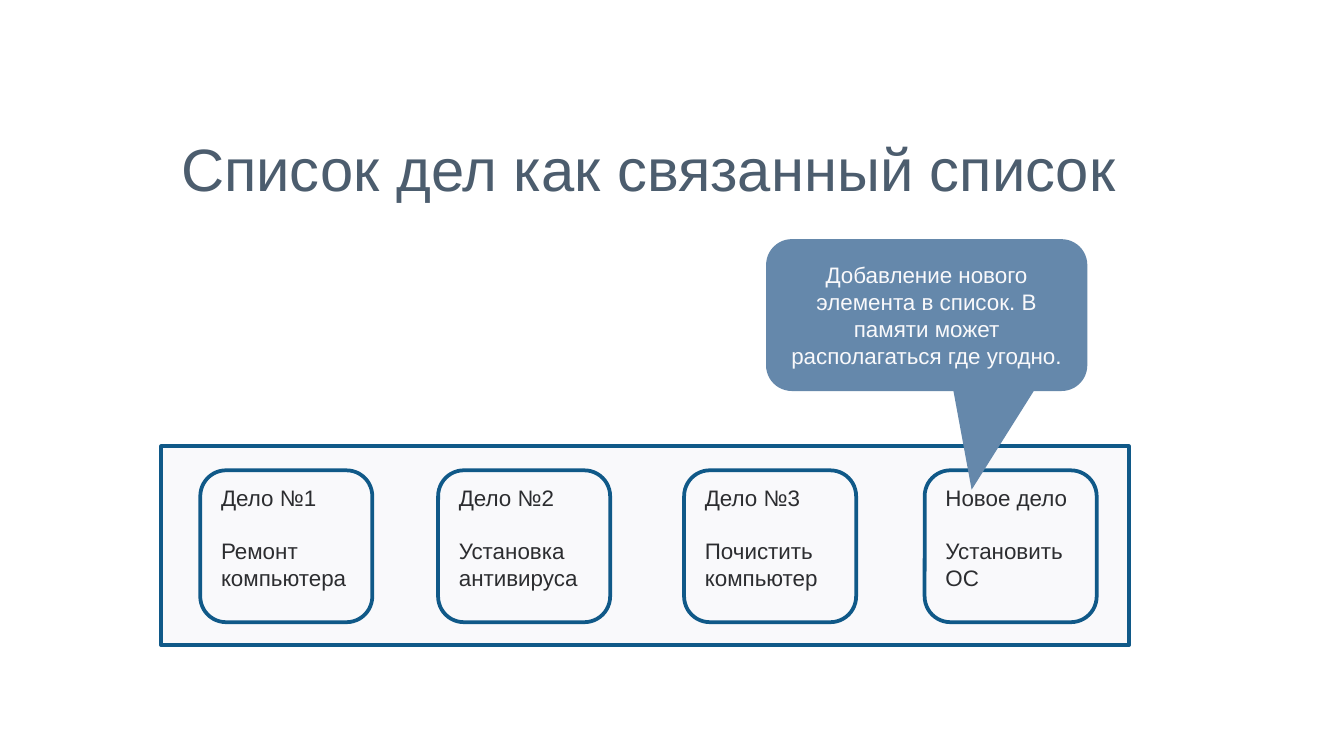
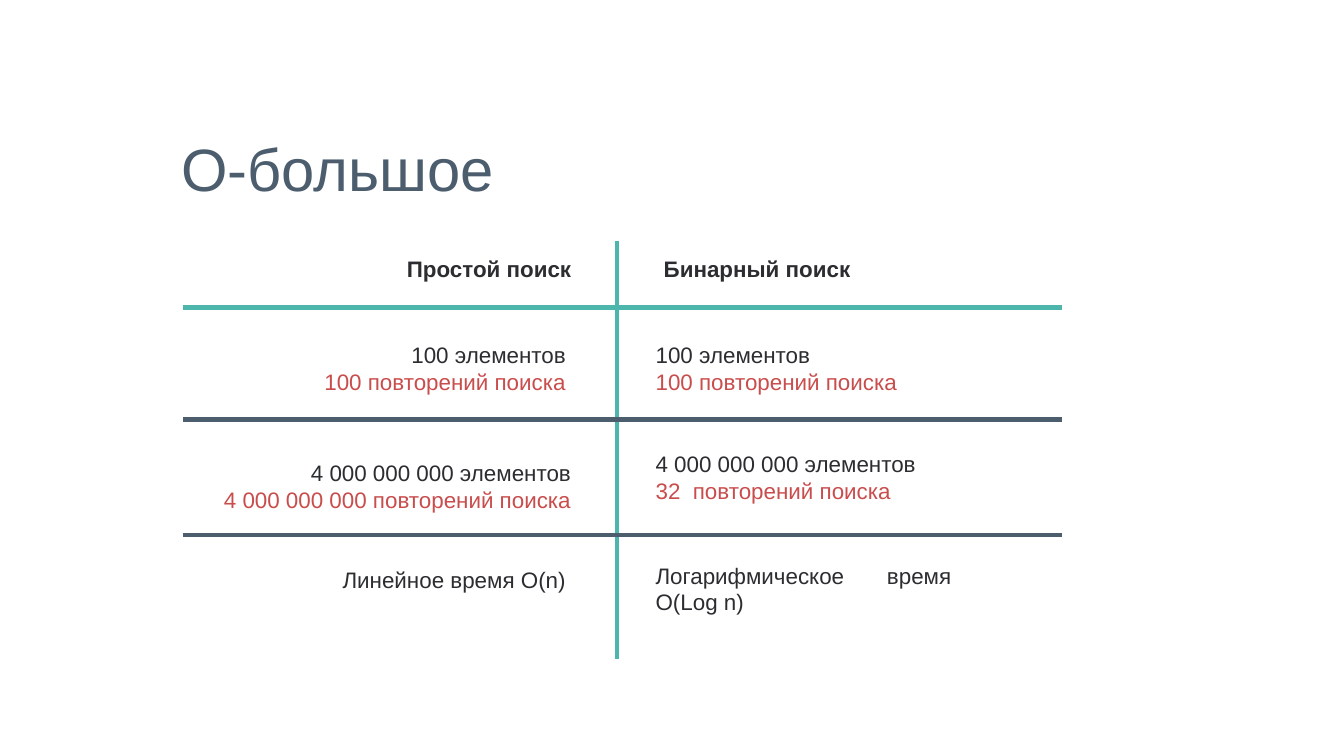
import dataclasses

import pptx
import pptx.dml.color
import pptx.enum.shapes
import pptx.enum.text
import pptx.oxml
import pptx.util

ALIGN = pptx.enum.text.PP_ALIGN
ANCHOR = pptx.enum.text.MSO_ANCHOR
SHAPE = pptx.enum.shapes.MSO_SHAPE
CONNECTOR = pptx.enum.shapes.MSO_CONNECTOR

SLIDE_WIDTH = pptx.util.Inches(10)
SLIDE_HEIGHT = SLIDE_WIDTH * 9 // 16
COLUMN = SLIDE_WIDTH / 100
ROW = SLIDE_HEIGHT / 56.25


@dataclasses.dataclass(frozen=True)
class Theme:
    font: str = "Arial"
    title_size: float = 32
    body_size: float = 12
    blank_line: float = 13.8
    outline: float = 2
    rule: float = 2.5
    slate: str = "4C5D6E"
    ink: str = "2C2D30"
    red: str = "C94D4C"
    teal: str = "4DB6AC"
    navy: str = "105988"
    steel: str = "6588AB"
    pale: str = "F9F9FB"


THEME = Theme()


@dataclasses.dataclass(frozen=True)
class Box:
    column: float
    row: float
    columns: float
    rows: float

    def inside(self, column, row, columns, rows):
        return Box(self.column + column, self.row + row, columns, rows)

    def lengths(self):
        return (round(self.column * COLUMN), round(self.row * ROW),
                round(self.columns * COLUMN), round(self.rows * ROW))


TITLE = Box(12.5, 6.2, 75, 12.5)
LIST_PANEL = Box(12, 33.2, 72, 14.8)
CALLOUT = Box(57, 17.8, 23.9, 11.3)
COMPARISON = Box(13.6, 17.9, 65.4, 31.1)


def rgb(color):
    return pptx.dml.color.RGBColor.from_string(color)


def write(shape, *lines, size=THEME.body_size, color=THEME.ink, colors=(), bold=False,
          align=ALIGN.LEFT, anchor=ANCHOR.TOP, gap=0, vertical_inset=0.05):
    frame = shape.text_frame
    frame.word_wrap = True
    frame.vertical_anchor = anchor
    frame.margin_left = frame.margin_right = pptx.util.Inches(0.1)
    frame.margin_top = frame.margin_bottom = pptx.util.Inches(vertical_inset)
    for index, line in enumerate(lines):
        paragraph = frame.add_paragraph() if index else frame.paragraphs[0]
        paragraph.alignment = align
        paragraph.space_before = pptx.util.Pt(gap if index else 0)
        run = paragraph.add_run()
        run.text = line
        run.font.name = THEME.font
        run.font.size = pptx.util.Pt(size)
        run.font.bold = bold
        run.font.color.rgb = rgb(colors[index] if colors else color)


def add_text(slide, box, *lines, **text_format):
    write(slide.shapes.add_textbox(*box.lengths()), *lines, **text_format)


def add_block(slide, kind, box, fill, outline=None, adjustments=()):
    shape = slide.shapes.add_shape(kind, *box.lengths())
    shape.shadow.inherit = False
    shape.fill.solid()
    shape.fill.fore_color.rgb = rgb(fill)
    if outline:
        shape.line.color.rgb = rgb(outline)
        shape.line.width = pptx.util.Pt(THEME.outline)
    else:
        shape.line.fill.background()
    for index, value in enumerate(adjustments):
        shape.adjustments[index] = value
    return shape


def add_rule(slide, box, color):
    left, top, width, height = box.lengths()
    line = slide.shapes.add_connector(CONNECTOR.STRAIGHT, left, top, left + width, top + height)
    line.line.color.rgb = rgb(color)
    line.line.width = pptx.util.Pt(THEME.rule)
    effects = pptx.oxml.parse_xml(
        '<a:effectLst xmlns:a="http://schemas.openxmlformats.org/drawingml/2006/main"/>')
    line._element.spPr.append(effects)


def add_titled_slide(presentation, title):
    slide = presentation.slides.add_slide(presentation.slide_layouts[6])
    add_text(slide, TITLE, title, size=THEME.title_size, color=THEME.slate,
             anchor=ANCHOR.MIDDLE, vertical_inset=0.1)
    return slide


def add_task_list(slide, box, tasks):
    add_block(slide, SHAPE.RECTANGLE, box, THEME.pale, THEME.navy)
    for column, *task in tasks:
        card = box.inside(column, 1.8, 12.8, 11.3)
        shape = add_block(slide, SHAPE.ROUNDED_RECTANGLE, card, THEME.pale, THEME.navy, (0.17,))
        write(shape, *task, align=ALIGN.JUSTIFY, gap=THEME.blank_line)


def add_callout(slide, box, text):
    shape = add_block(slide, SHAPE.ROUNDED_RECTANGULAR_CALLOUT, box, THEME.steel,
                      adjustments=(0.14, 1.15, 0.17))
    write(shape, text, color=THEME.pale, align=ALIGN.CENTER, anchor=ANCHOR.MIDDLE)


def add_comparison(slide, box, headings, cases, verdicts):
    axis = 32.3
    left_edge, right_edge = axis - 2.8, axis + 1.9
    add_rule(slide, box.inside(axis, 0, 0, box.rows), THEME.teal)
    for row, color in ((5, THEME.teal), (13.3, THEME.slate), (21.9, THEME.slate)):
        add_rule(slide, box.inside(0, row, box.columns, 0), color)

    def add_pair(pair, rows, height, width=24, shifts=(0, 0), **text_format):
        for side, lines in enumerate(pair):
            column = right_edge if side else left_edge - width
            add_text(slide, box.inside(column + shifts[side], rows[side], width, height), *lines,
                     align=ALIGN.JUSTIFY if side else ALIGN.RIGHT, **text_format)

    case_colors = (THEME.ink, THEME.red)
    add_pair(headings, (0.6, 0.6), 4.9, shifts=(0.4, 0.6), bold=True)
    add_pair(cases[0], (7, 7), 6.1, colors=case_colors)
    add_pair(cases[1], (15.8, 15.1), 5.4, width=28, shifts=(0.4, 0), colors=case_colors)
    add_pair(verdicts, (23.7, 23.4), 4.2)


def build_list_slide(presentation):
    slide = add_titled_slide(presentation, "Список дел как связанный список")
    add_task_list(slide, LIST_PANEL, (
        (2.9, "Дело №1", "Ремонт компьютера"),
        (20.6, "Дело №2", "Установка антивируса"),
        (38.9, "Дело №3", "Почистить компьютер"),
        (56.8, "Новое дело", "Установить ОС"),
    ))
    add_callout(slide, CALLOUT,
                "Добавление нового элемента в список. В памяти может располагаться где угодно.")


def build_complexity_slide(presentation):
    slide = add_titled_slide(presentation, "О-большое")
    small = ("100 элементов", "100 повторений поиска")
    billions = "4\u00a0000 000\u00a0000"
    add_comparison(
        slide, COMPARISON,
        headings=(("Простой поиск",), ("Бинарный поиск",)),
        cases=((small, small),
               ((f"{billions} элементов", f"{billions} повторений поиска"),
                ("4\u00a0000\u00a0000 000 элементов", "32  повторений поиска"))),
        verdicts=(("Линейное время O(n)",), ("Логарифмическое время O(Log n)",)))


presentation = pptx.Presentation()
presentation.slide_width = SLIDE_WIDTH
presentation.slide_height = SLIDE_HEIGHT
build_list_slide(presentation)
build_complexity_slide(presentation)
presentation.save("out.pptx")
